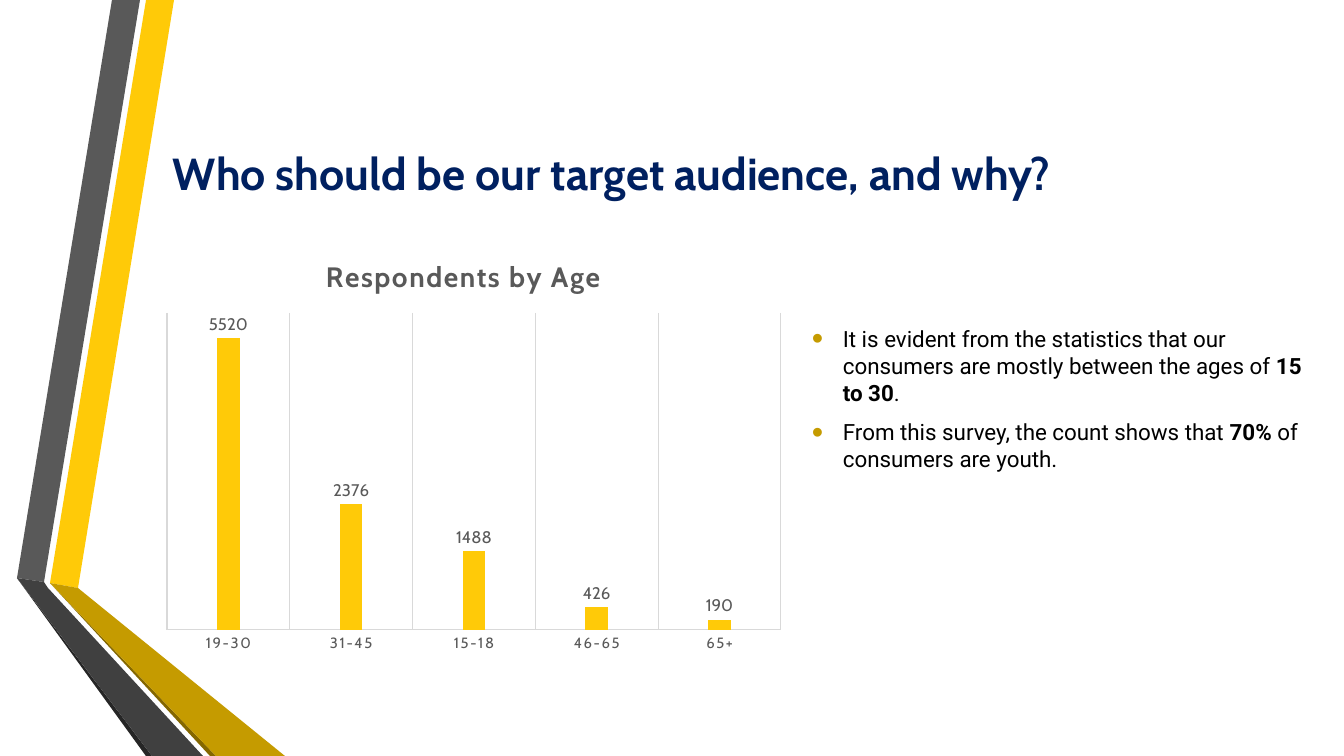
from lxml.etree import SubElement
from pptx import Presentation
from pptx.chart.data import CategoryChartData
from pptx.dml.color import RGBColor
from pptx.enum.chart import XL_CHART_TYPE, XL_LABEL_POSITION, XL_TICK_MARK
from pptx.enum.text import MSO_ANCHOR
from pptx.oxml import parse_xml
from pptx.oxml.ns import nsdecls, qn
from pptx.util import Pt

SCALE = 914400 / 100.8
COLORS = {
    "yellow": "FFCA08", "gold": "C59B00", "bronze": "846700",
    "gray": "595959", "dark": "404040", "black": "262626",
    "navy": "002060", "text": "000000", "grid": "D9D9D9",
}
RIBBONS = [
    ("yellow", [(50, 583), (78, 588), (174, 0), (146, 0)]),
    ("gray", [(140, 0), (112, 0), (17, 578), (44, 582)]),
    ("black", [(17, 578), (146, 756), (152, 756)]),
    ("bronze", [(50, 583), (210, 756), (216, 756)]),
    ("gold", [(50, 583), (216, 756), (285, 756), (78, 588)]),
    ("dark", [(203, 756), (48, 588), (44, 582), (17, 578), (152, 756)]),
]
AGES = {"19-30": 5520, "31-45": 2376, "15-18": 1488, "46-65": 426, "65+": 190}
CHART_BOX = (155, 239, 638, 422)
FINDINGS = [
    [("It is evident from the statistics that our consumers are mostly "
      "between the ages of\u00a0", False), ("15 to 30", True), (".", False)],
    [("From this survey, the count shows that\u00a0", False), ("70%", True),
     ("\u00a0of consumers are youth.", False)],
]


def px(n):
    """Turn pixels into EMU."""
    return round(n * SCALE)


def rgb(name):
    """Look up a named colour."""
    return RGBColor.from_string(COLORS[name])


def style(font, size, color, name="Cabin", bold=False, spacing=0):
    """Format a font, with letter spacing in hundredths of a point."""
    font.size, font.name, font.bold = Pt(size), name, bold
    font.color.rgb = rgb(color)
    if spacing:
        font._element.set("spc", str(spacing))


def add_run(p, text, **fmt):
    """Append a formatted run to a paragraph."""
    r = p.add_run()
    r.text = text
    style(r.font, **fmt)


def add_text_box(s, x, y, w, h, anchor):
    """Add a wrapping text box and return its text frame."""
    tf = s.shapes.add_textbox(px(x), px(y), px(w), px(h)).text_frame
    tf.word_wrap, tf.vertical_anchor = True, anchor
    return tf


def add_ribbon(s, color, points):
    """Add a filled polygon."""
    builder = s.shapes.build_freeform(*points[0], scale=SCALE)
    builder.add_line_segments(points[1:], close=True)
    sp = builder.convert_to_shape()
    sp.fill.solid()
    sp.fill.fore_color.rgb = rgb(color)
    sp.line.fill.background()
    sp.shadow.inherit = False


def add_bullet(p):
    """Give a paragraph a hanging gold bullet."""
    p.space_before, p.space_after = Pt(3.2), Pt(6)
    pPr = p._p.get_or_add_pPr()
    pPr.set("marL", str(px(31)))
    pPr.set("indent", str(-px(31)))
    clr = SubElement(pPr, qn("a:buClr"))
    SubElement(clr, qn("a:srgbClr")).set("val", COLORS["gold"])
    SubElement(pPr, qn("a:buSzPct")).set("val", "145000")
    SubElement(pPr, qn("a:buFont")).set("typeface", "Arial")
    SubElement(pPr, qn("a:buChar")).set("char", "\u2022")


def place(element, index, **values):
    """Set the manual layout of a chart part."""
    for old in element.findall(qn("c:layout")):
        element.remove(old)
    layout = parse_xml(f"<c:layout {nsdecls('c')}><c:manualLayout/></c:layout>")
    for tag, value in values.items():
        SubElement(layout[0], qn(f"c:{tag}")).set("val", str(value))
    element.insert(index, layout)


def draw_line(line):
    """Format a thin chart line."""
    line.width = Pt(0.75)
    line.color.rgb = rgb("grid")


def add_age_chart(s):
    """Add the column chart of respondents by age."""
    data = CategoryChartData()
    data.categories = list(AGES)
    data.add_series("Series 1", list(AGES.values()))
    chart = s.shapes.add_chart(XL_CHART_TYPE.COLUMN_CLUSTERED,
                               *map(px, CHART_BOX), data).chart
    style(chart.font, 10, "text")
    chart.has_legend = False
    p = chart.chart_title.text_frame.paragraphs[0]
    add_run(p, "Respondents by Age", size=20, color="gray", bold=True, spacing=100)
    place(chart.chart_title._element, 1, xMode="edge", yMode="edge", x=0.26, y=0.03)

    left, top, width, height = CHART_BOX
    place(chart._chartSpace.chart.plotArea, 0, layoutTarget="inner",
          xMode="edge", yMode="edge", x=(167 - left) / width,
          y=(313 - top) / height, w=614 / width, h=317 / height)

    axis = chart.category_axis
    axis.major_tick_mark = axis.minor_tick_mark = XL_TICK_MARK.NONE
    axis.has_major_gridlines = True
    draw_line(axis.major_gridlines.format.line)
    draw_line(axis.format.line)
    style(axis.tick_labels.font, 10.6, "gray", spacing=120)
    values = chart.value_axis
    values.visible = values.has_major_gridlines = False
    values.minimum_scale, values.maximum_scale = 0, 6000

    plot = chart.plots[0]
    plot.gap_width, plot.overlap, plot.vary_by_categories = 444, -90, False
    fill = plot.series[0].format.fill
    fill.solid()
    fill.fore_color.rgb = rgb("yellow")
    labels = plot.series[0].data_labels
    labels.show_value, labels.position = True, XL_LABEL_POSITION.OUTSIDE_END
    labels.number_format, labels.number_format_is_linked = "General", False
    style(labels.font, 12, "gray")


def add_findings(s):
    """Add the bulleted findings beside the chart."""
    tf = add_text_box(s, 802, 269, 521, 304, MSO_ANCHOR.TOP)
    tf.margin_top = px(56)
    for i, runs in enumerate(FINDINGS):
        p = tf.add_paragraph() if i else tf.paragraphs[0]
        add_bullet(p)
        for text, bold in runs:
            add_run(p, text, size=16, color="text", name="Roboto", bold=bold)


def main():
    """Build the slide and save it."""
    prs = Presentation()
    prs.slide_width, prs.slide_height = px(1344), px(756)
    s = prs.slides.add_slide(prs.slide_layouts[6])
    for color, points in RIBBONS:
        add_ribbon(s, color, points)
    tf = add_text_box(s, 163, 76, 1105, 194, MSO_ANCHOR.MIDDLE)
    add_run(tf.paragraphs[0], "Who should be our target audience, and why?",
            size=32, color="navy", bold=True)
    add_age_chart(s)
    add_findings(s)
    prs.save("out.pptx")


main()
